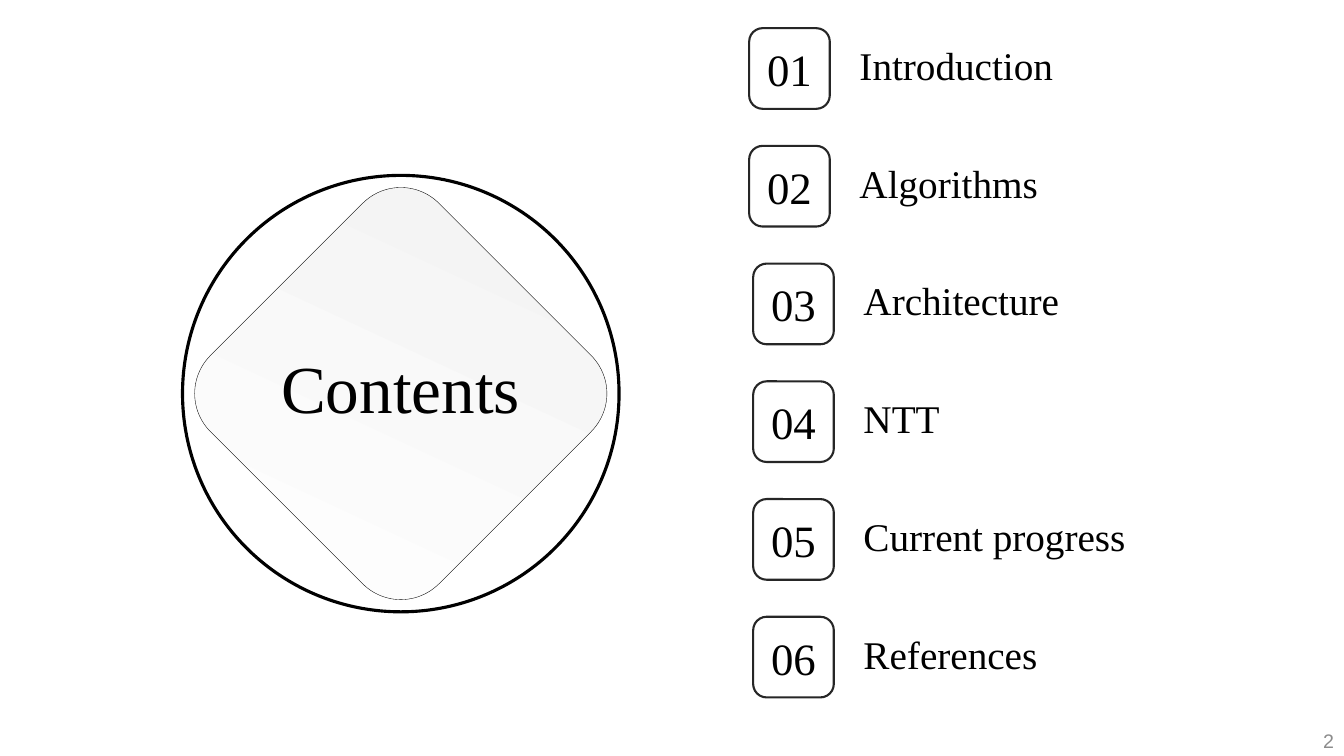
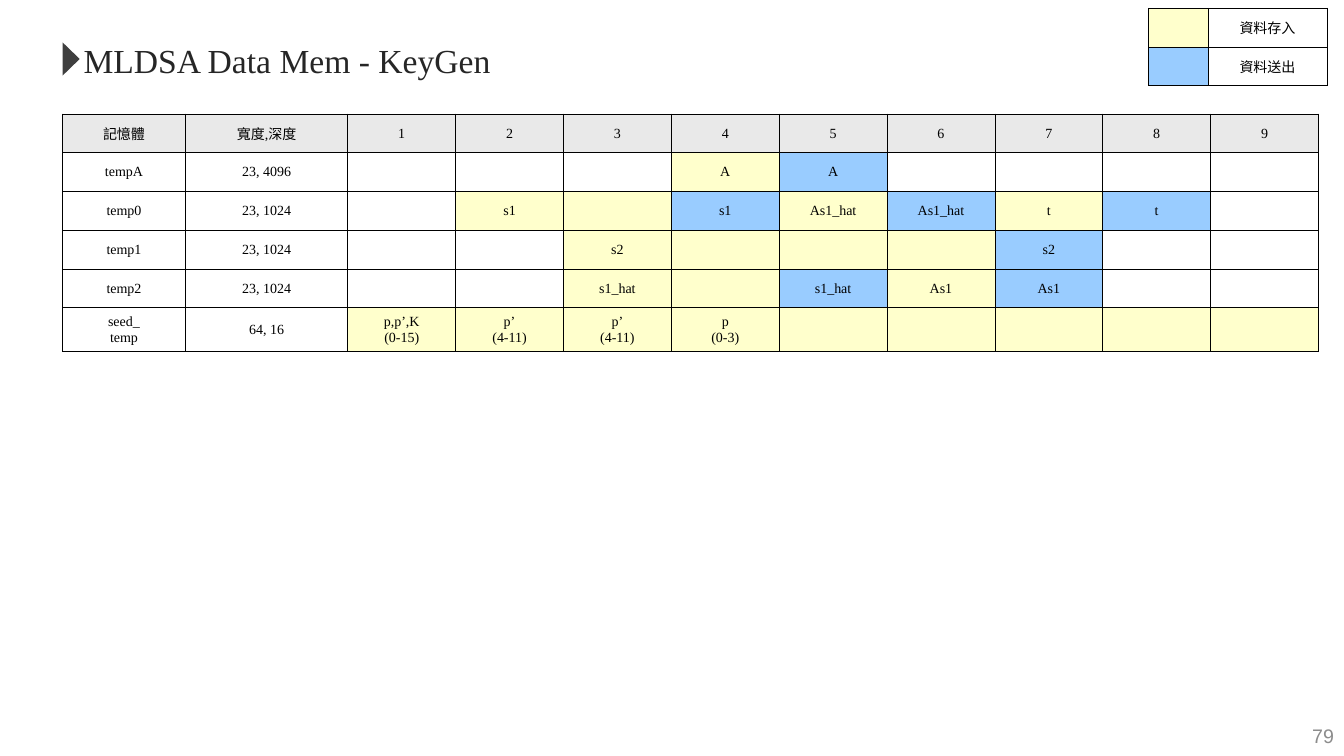
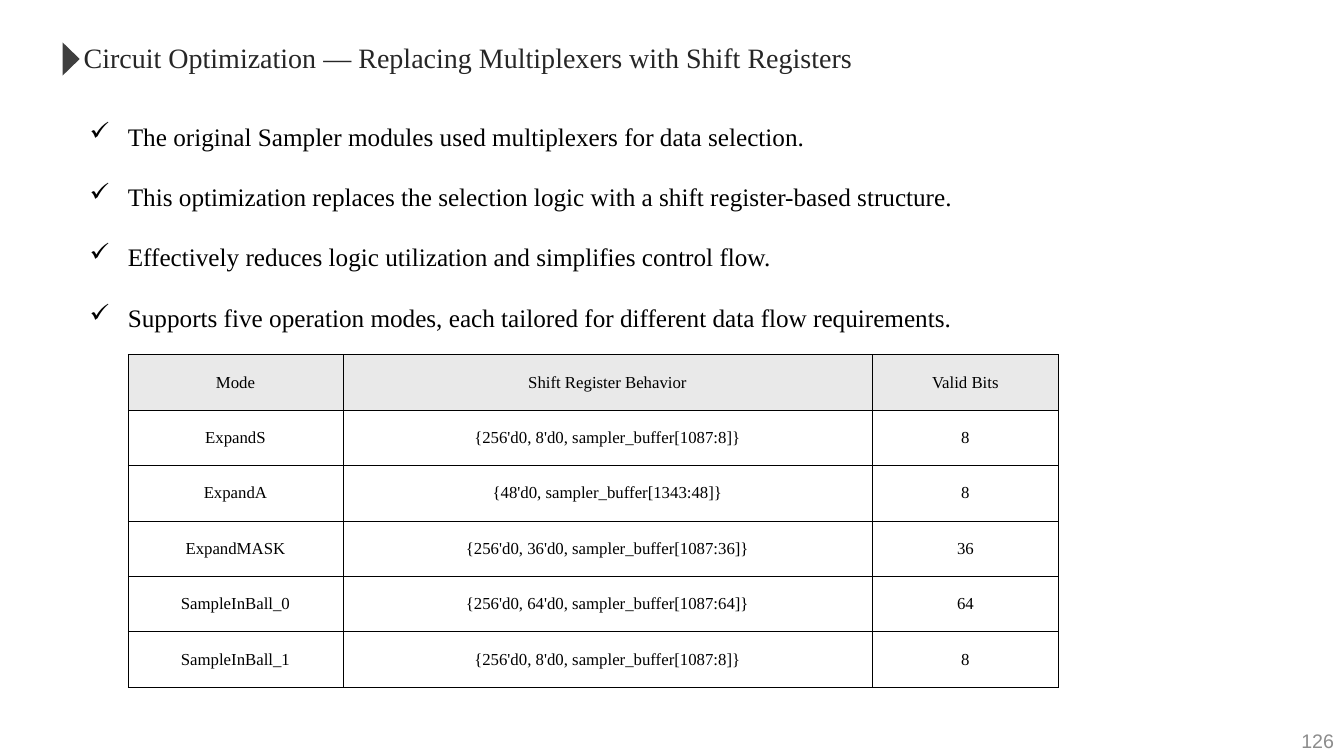
from typing import NamedTuple

from lxml.etree import SubElement
from pptx import Presentation
from pptx.dml.color import RGBColor
from pptx.enum.shapes import MSO_SHAPE as Preset
from pptx.enum.text import MSO_ANCHOR as Anchor, PP_ALIGN as Align
from pptx.oxml import parse_xml
from pptx.oxml.ns import nsdecls, qn
from pptx.util import Inches, Pt

COLORS = {
    "ink": "000000", "title": "262626", "marker": "3F3F3F", "page": "8C8C8C",
    "header": "E9E9E9", "store": "FFFFCC", "send": "99CCFF",
    "light": "FFFFFF", "shade": "F2F2F2",
}
SERIF, SANS = "Times New Roman", "Arial"
CELL_FILLS = {"<": "store", ">": "send"}

CHAPTERS = ["Introduction", "Algorithms", "Architecture", "NTT",
            "Current progress", "References"]
MEMORY_COLUMNS = [1.22, 1.61] + [1.07] * 9
MEMORY_ROWS = [
    ["記憶體", "寬度,深度"] + [str(step) for step in range(1, 10)],
    ["tempA", "23, 4096", "", "", "", "<A", ">A", "", "", "", ""],
    ["temp0", "23, 1024", "", "<s1", "<", ">s1", "<As1_hat", ">As1_hat", "<t", ">t", ""],
    ["temp1", "23, 1024", "", "", "<s2", "<", "<", "<", ">s2", "", ""],
    ["temp2", "23, 1024", "", "", "<s1_hat", "<", ">s1_hat", "<As1", ">As1", "", ""],
    ["seed_\ntemp", "64, 16", "<p,p’,K\n(0-15)", "<p’\n(4-11)", "<p’\n(4-11)",
     "<p\n(0-3)"] + ["<"] * 5,
]
LEGEND_ROWS = [["<", "資料存入"], [">", "資料送出"]]
FINDINGS = [
    "The original Sampler modules used multiplexers for data selection.",
    "This optimization replaces the selection logic with a shift register-based structure.",
    "Effectively reduces logic utilization and simplifies control flow.",
    "Supports five operation modes, each tailored for different data flow requirements.",
]
MODE_ROWS = [
    ["Mode", "Shift Register Behavior", "Valid Bits"],
    ["ExpandS", "{256'd0, 8'd0, sampler_buffer[1087:8]}", "8"],
    ["ExpandA", "{48'd0, sampler_buffer[1343:48]}", "8"],
    ["ExpandMASK", "{256'd0, 36'd0, sampler_buffer[1087:36]}", "36"],
    ["SampleInBall_0", "{256'd0, 64'd0, sampler_buffer[1087:64]}", "64"],
    ["SampleInBall_1", "{256'd0, 8'd0, sampler_buffer[1087:8]}", "8"],
]


class Box(NamedTuple):
    """A rectangle in inches."""
    left: float
    top: float
    width: float
    height: float

    def share(self, x, y, w, h):
        """Return the inner box given in percent of this one."""
        return Box(self.left + self.width * x / 100, self.top + self.height * y / 100,
                   self.width * w / 100, self.height * h / 100)

    def lengths(self):
        """Return the four lengths for the shape calls."""
        return [Inches(length) for length in self]


SLIDE = Box(0, 0, 13.33, 7.5)
TITLE_BAR = SLIDE.share(4.65, 4.67, 60, 6.67)
PAGE_BOX = SLIDE.share(77.5, 95.33, 22.5, 5.33)


def color(name):
    """Look up a palette colour."""
    return RGBColor.from_string(COLORS[name])


def style_text(frame, size, ink="ink", font=SERIF, align=Align.LEFT):
    """Format every paragraph and run of a text frame."""
    for paragraph in frame.paragraphs:
        paragraph.alignment = align
        for run in paragraph.runs:
            run.font.size = Pt(size)
            run.font.name = font
            run.font.color.rgb = color(ink)


def add_text(slide, box, text, size, anchor=Anchor.TOP, wrap=True, **style):
    """Add a text box and return its frame."""
    frame = slide.shapes.add_textbox(*box.lengths()).text_frame
    frame.word_wrap = wrap
    frame.vertical_anchor = anchor
    frame.text = text
    style_text(frame, size, **style)
    return frame


def add_shape(slide, preset, box, line=None, weight=1):
    """Add an unfilled preset shape with an optional outline."""
    shape = slide.shapes.add_shape(preset, *box.lengths())
    shape.shadow.inherit = False
    shape.fill.background()
    if line:
        shape.line.color.rgb = color(line)
        shape.line.width = Pt(weight)
    else:
        shape.line.fill.background()
    return shape


def add_title(slide, box, text, size):
    """Place the arrow marker and the slide title."""
    marker = add_shape(slide, Preset.ISOSCELES_TRIANGLE, box.share(-1, 30, 4.13, 34))
    marker.rotation = 90
    marker.fill.solid()
    marker.fill.fore_color.rgb = color("marker")
    add_text(slide, box.share(1.38, 0, 98, 100), text, size, wrap=False, ink="title")


def add_page_number(slide, box, number):
    """Place the page number at the lower right."""
    add_text(slide, box, str(number), 14, anchor=Anchor.MIDDLE,
             ink="page", font=SANS, align=Align.RIGHT)


def border_cell(cell):
    """Draw thin lines on the four sides of a cell."""
    properties = cell._tc.get_or_add_tcPr()
    for position, side in enumerate("LRTB"):
        properties.insert(position, parse_xml(
            f'<a:ln{side} {nsdecls("a")} w="6350"><a:solidFill>'
            f'<a:srgbClr val="{COLORS["ink"]}"/></a:solidFill></a:ln{side}>'))


def fill_cell(cell, entry, size, fill=None):
    """Write one cell, whose leading mark names its fill."""
    fill = CELL_FILLS.get(entry[:1], fill)
    cell.text = entry.lstrip("<>")
    cell.vertical_anchor = Anchor.MIDDLE
    style_text(cell.text_frame, size, align=Align.CENTER)
    if not cell.text:
        SubElement(cell.text_frame.paragraphs[0]._p, qn("a:endParaRPr"), sz=str(size * 100))
    if fill:
        cell.fill.solid()
        cell.fill.fore_color.rgb = color(fill)
    else:
        cell.fill.background()
    border_cell(cell)


def add_grid(slide, box, weights, rows, size, header=True):
    """Fill the box with a ruled table of equal rows."""
    table = slide.shapes.add_table(len(rows), len(weights), *box.lengths()).table
    table.first_row = table.horz_banding = False
    for column, weight in zip(table.columns, weights):
        column.width = Inches(box.width * weight / sum(weights))
    for index, entries in enumerate(rows):
        table.rows[index].height = Inches(box.height / len(rows))
        for cell, entry in zip(table.rows[index].cells, entries):
            fill_cell(cell, entry, size, "header" if header and index == 0 else None)


def add_medallion(slide, box, text):
    """Draw the ringed diamond with its caption."""
    diamond = add_shape(slide, Preset.ROUNDED_RECTANGLE, box.share(13, 13, 74, 74), "ink", 0.25)
    diamond.rotation = 45
    diamond.fill.gradient()
    diamond.fill.gradient_angle = 110
    for stop, name in zip(diamond.fill.gradient_stops, ["light", "shade"]):
        stop.color.rgb = color(name)
    add_shape(slide, Preset.OVAL, box, "ink", 2.25)
    add_text(slide, box.share(20, 38, 60, 21), text, 48, wrap=False, align=Align.CENTER)


def add_agenda(slide, box, chapters):
    """Stack numbered tiles with their chapter names."""
    tile_share = 12.05
    pitch = (100 - tile_share) / (len(chapters) - 1)
    for index, chapter in enumerate(chapters):
        row = box.share(0.75 if index > 1 else 0, index * pitch, 100, tile_share)
        tile = add_shape(slide, Preset.ROUNDED_RECTANGLE,
                         row.share(0, 0, 15.09, 100), "title", 1.5)
        frame = tile.text_frame
        frame.margin_left = frame.margin_right = 0
        frame.vertical_anchor = Anchor.MIDDLE
        frame.text = f"{index + 1:02}"
        style_text(frame, 32, align=Align.CENTER)
        add_text(slide, row.share(18.8, 10, 80, 72), chapter, 28)


def add_checklist(slide, box, findings):
    """List the findings with check marks."""
    frame = add_text(slide, box, "\n".join(findings), 18)
    for paragraph in frame.paragraphs:
        paragraph.line_spacing = 2.0
        properties = paragraph._p.get_or_add_pPr()
        properties.set("marL", str(Inches(0.38)))
        properties.set("indent", str(-Inches(0.38)))
        SubElement(properties, qn("a:buChar"), char="✓")


def build_contents(slide):
    """Build the contents slide."""
    add_medallion(slide, SLIDE.share(13.58, 23.2, 32.48, 57.73), "Contents")
    add_agenda(slide, SLIDE.share(55.74, 3.73, 39.76, 88.53), CHAPTERS)
    add_page_number(slide, PAGE_BOX, 2)


def build_memory(slide):
    """Build the memory schedule slide."""
    add_title(slide, TITLE_BAR, "MLDSA Data Mem - KeyGen", 24)
    add_page_number(slide, SLIDE.share(77.5, 94.67, 22.5, 5.33), 79)
    add_grid(slide, SLIDE.share(4.65, 15.07, 93.47, 30.8), MEMORY_COLUMNS, MEMORY_ROWS, 10)
    add_grid(slide, SLIDE.share(85.45, 1.07, 13.28, 10.27), [1, 2], LEGEND_ROWS, 10,
             header=False)


def build_optimization(slide):
    """Build the circuit optimization slide."""
    add_title(slide, TITLE_BAR,
              "Circuit Optimization — Replacing Multiplexers with Shift Registers", 20)
    add_page_number(slide, PAGE_BOX, 126)
    add_checklist(slide, SLIDE.share(5.93, 11.33, 68.12, 32.4), FINDINGS)
    add_grid(slide, SLIDE.share(9.53, 46.93, 69.24, 44), [2.13, 5.25, 1.85], MODE_ROWS, 12)


def main():
    """Build and save the presentation."""
    deck = Presentation()
    deck.slide_width, deck.slide_height = Inches(SLIDE.width), Inches(SLIDE.height)
    for build in (build_contents, build_memory, build_optimization):
        build(deck.slides.add_slide(deck.slide_layouts[6]))
    deck.save("out.pptx")


if __name__ == "__main__":
    main()
